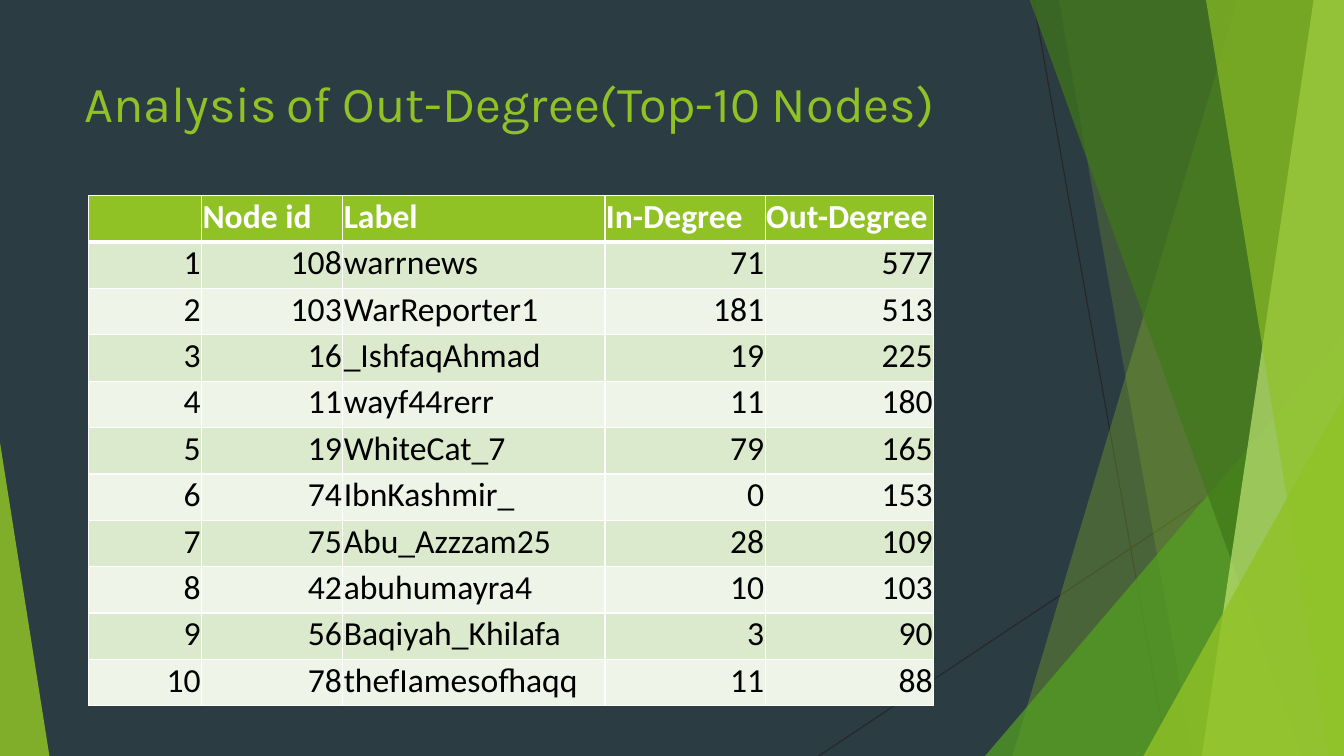
from lxml import etree
from pptx import Presentation
from pptx.dml.color import RGBColor
from pptx.enum.shapes import MSO_CONNECTOR, MSO_SHAPE
from pptx.enum.text import MSO_ANCHOR, PP_ALIGN
from pptx.oxml.ns import qn
from pptx.util import Inches, Pt

STRAIGHT = MSO_CONNECTOR.STRAIGHT
TRIANGLE = MSO_SHAPE.ISOSCELES_TRIANGLE
BOTTOM, TOP = MSO_ANCHOR.BOTTOM, MSO_ANCHOR.TOP
LEFT, RIGHT = PP_ALIGN.LEFT, PP_ALIGN.RIGHT
WIDTH, HEIGHT = 13.33, 7.5
COLORS = {
    "background": "2C3C43", "lime": "90C226", "green": "54A021",
    "forest": "3F7819", "pale": "C0E474", "hairline": "262626",
    "white": "FFFFFF", "black": "000000", "odd": "DBE9CD", "even": "EEF4E8",
}
HEADER = ["", "Node id", "Label", "In-Degree", "Out-Degree"]
NODES = [
    (108, "warrnews", 71, 577),
    (103, "WarReporter1", 181, 513),
    (16, "_IshfaqAhmad", 19, 225),
    (11, "wayf44rerr", 11, 180),
    (19, "WhiteCat_7", 79, 165),
    (74, "IbnKashmir_", 0, 153),
    (75, "Abu_Azzzam25", 28, 109),
    (42, "abuhumayra4", 10, 103),
    (56, "Baqiyah_Khilafa", 3, 90),
    (78, "thefIamesofhaqq", 11, 88),
]
COLUMN_WIDTHS = [1.12, 1.4, 2.6, 1.59, 1.67]
ROW_HEIGHT = 0.46
CELL_FORMAT = {
    "margin_left": Inches(0.01), "margin_right": Inches(0.01),
    "margin_top": Inches(0.01), "margin_bottom": Inches(0.05),
    "vertical_anchor": BOTTOM,
}


def rgb(name):
    """Return the named colour."""
    return RGBColor.from_string(COLORS[name])


def set_format(target, values):
    """Set each attribute in values on target."""
    for name, value in values.items():
        setattr(target, name, value)


def write(p, text, color, **font):
    """Add a coloured run to a paragraph."""
    r = p.add_run()
    r.text = text
    r.font.color.rgb = rgb(color)
    set_format(r.font, font)


def add_hairline(s, x1, y1, x2, y2):
    """Draw a thin dark line."""
    line = s.shapes.add_connector(
        STRAIGHT, Inches(x1), Inches(y1), Inches(x2), Inches(y2))
    line.line.color.rgb = rgb("hairline")
    line.line.width = Pt(0.75)
    etree.SubElement(line._element.spPr, qn("a:effectLst"))


def paint(sp, color, opacity):
    """Give a shape a translucent fill without outline or shadow."""
    sp.shadow.inherit = False
    sp.fill.solid()
    sp.fill.fore_color.rgb = rgb(color)
    sp.line.fill.background()
    fill = sp._element.spPr.find(qn("a:solidFill"))
    etree.SubElement(fill[0], qn("a:alpha"), val=str(opacity * 1000))


def add_band(s, top_x, bottom_x, color, opacity):
    """Draw a slanted band that reaches the right edge of the slide."""
    corners = [(WIDTH, -0.01), (WIDTH, HEIGHT), (bottom_x, HEIGHT)]
    builder = s.shapes.build_freeform(Inches(top_x), Inches(-0.01))
    builder.add_line_segments([(Inches(x), Inches(y)) for x, y in corners])
    paint(builder.convert_to_shape(), color, opacity)


def add_corner(s, left, top, width, apex, color, opacity):
    """Draw a right triangle standing on the bottom edge."""
    sp = s.shapes.add_shape(TRIANGLE, Inches(left), Inches(top),
                            Inches(width), Inches(HEIGHT - top))
    sp.adjustments[0] = apex
    paint(sp, color, opacity)


def add_backdrop(s):
    """Draw the faceted decoration from back to front."""
    s.background.fill.solid()
    s.background.fill.fore_color.rgb = rgb("background")
    add_hairline(s, 10.25, 0, 11.58, HEIGHT)
    add_hairline(s, WIDTH, 4.03, 8.12, HEIGHT)
    add_band(s, 12.28, 10.04, "lime", 30)
    add_band(s, 10.5, 11.83, "lime", 20)
    add_corner(s, 9.77, 3.33, 3.56, 1, "green", 72)
    add_band(s, 10.21, 12.91, "forest", 70)
    add_band(s, 13.03, 11.92, "pale", 70)
    add_band(s, 11.96, 13.18, "lime", 65)
    add_corner(s, 11.34, 3.93, 1.99, 1, "lime", 80)
    add_corner(s, 0, 4.39, 0.49, 0, "lime", 85)


def add_title(s, text):
    """Add the slide title."""
    sp = s.shapes.add_textbox(
        Inches(0.74), Inches(0.67), Inches(9.4), Inches(1.44))
    tf = sp.text_frame
    set_format(tf, {"word_wrap": True, "vertical_anchor": TOP})
    write(tf.paragraphs[0], text, "lime", name="Karla", size=Pt(36))


def add_borders(cell, **widths):
    """Give a cell white borders, 1 pt unless a side is named."""
    tc_pr = cell._tc.get_or_add_tcPr()
    for side in "LRTB":
        line = etree.SubElement(tc_pr, qn(f"a:ln{side}"),
                                w=str(Pt(widths.get(side, 1))))
        fill = etree.SubElement(line, qn("a:solidFill"))
        etree.SubElement(fill, qn("a:srgbClr"), val=COLORS["white"])


def fill_cell(cell, value, fill, color, bold, **borders):
    """Write and format one table cell."""
    add_borders(cell, **borders)
    set_format(cell, CELL_FORMAT)
    cell.fill.solid()
    cell.fill.fore_color.rgb = rgb(fill)
    p = cell.text_frame.paragraphs[0]
    p.alignment = RIGHT if isinstance(value, int) else LEFT
    if value != "":
        write(p, str(value), color, name="Calibri", size=Pt(24), bold=bold)


def add_node_table(s):
    """Add the ranked table of nodes."""
    rows = [HEADER] + [(rank, *node) for rank, node in enumerate(NODES, 1)]
    table = s.shapes.add_table(
        len(rows), len(HEADER), Inches(0.88), Inches(1.94),
        Inches(sum(COLUMN_WIDTHS)), Inches(ROW_HEIGHT * len(rows))).table
    for column, width in zip(table.columns, COLUMN_WIDTHS):
        column.width = Inches(width)
    for i, values in enumerate(rows):
        table.rows[i].height = Inches(ROW_HEIGHT)
        if i == 0:
            look = {"fill": "lime", "color": "white", "bold": True, "B": 3}
        else:
            look = {"fill": "odd" if i % 2 else "even", "color": "black",
                    "bold": False, "T": 3 if i == 1 else 1}
        for j, value in enumerate(values):
            fill_cell(table.cell(i, j), value, **look)


def main():
    """Build and save the slide."""
    prs = Presentation()
    prs.slide_width, prs.slide_height = Inches(WIDTH), Inches(HEIGHT)
    s = prs.slides.add_slide(prs.slide_layouts[6])
    add_backdrop(s)
    add_title(s, "Analysis\tof Out-Degree(Top-10 Nodes)")
    add_node_table(s)
    prs.save("out.pptx")


if __name__ == "__main__":
    main()
